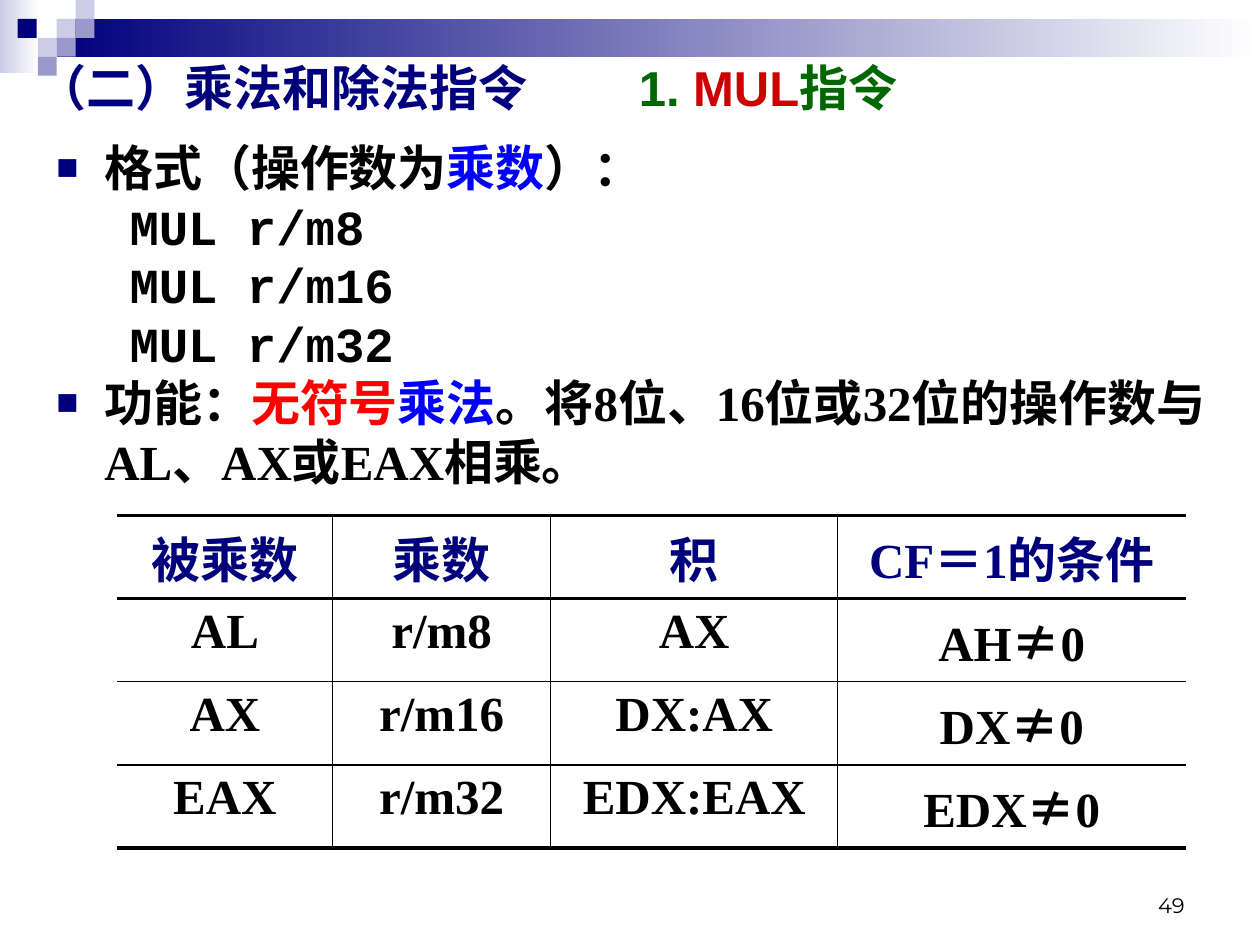
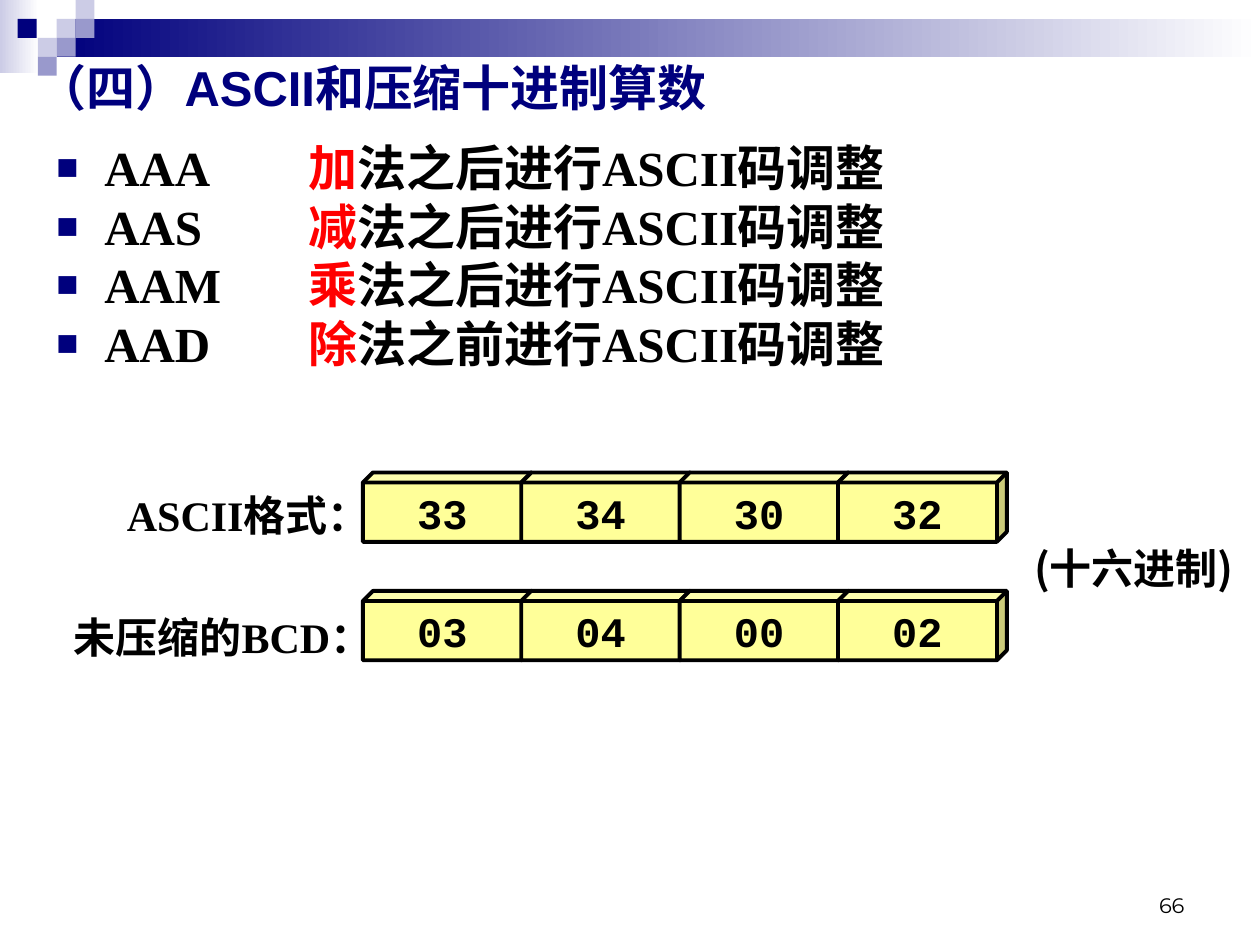
"""Build two slides on multiplication and ASCII adjustment instructions."""
from lxml import etree
from pptx import Presentation
from pptx.dml.color import RGBColor
from pptx.enum.shapes import MSO_SHAPE
from pptx.enum.text import MSO_ANCHOR, MSO_AUTO_SIZE, PP_ALIGN
from pptx.oxml.ns import qn
from pptx.util import Inches, Pt

RECTANGLE, CUBE = MSO_SHAPE.RECTANGLE, MSO_SHAPE.CUBE
MIDDLE, BOTTOM = MSO_ANCHOR.MIDDLE, MSO_ANCHOR.BOTTOM
LEFT, CENTER, RIGHT = PP_ALIGN.LEFT, PP_ALIGN.CENTER, PP_ALIGN.RIGHT
FIXED = MSO_AUTO_SIZE.NONE

BLACK = RGBColor(0x00, 0x00, 0x00)
WHITE = RGBColor(0xFF, 0xFF, 0xFF)
NAVY = RGBColor(0x00, 0x00, 0x7D)
LAVENDER = RGBColor(0xCC, 0xCC, 0xE6)
PERIWINKLE = RGBColor(0x99, 0x99, 0xCC)
BLUE = RGBColor(0x00, 0x00, 0xFF)
RED = RGBColor(0xFF, 0x00, 0x00)
DARK_RED = RGBColor(0xCC, 0x00, 0x00)
GREEN = RGBColor(0x00, 0x66, 0x00)
YELLOW = RGBColor(0xFF, 0xFF, 0x99)

SANS, SERIF, MONO = "Arial", "Times New Roman", "Courier New"
CHINESE, NUMBER_FACE = "Noto Sans CJK SC", "Montserrat"


def add_text(para, text, size=28, face=SERIF, color=BLACK, bold=True):
    span = para.add_run()
    span.text = text
    span.font.name = face
    span.font.size = Pt(size)
    span.font.bold = bold
    span.font.color.rgb = color
    etree.SubElement(span.font._element, qn("a:ea"), typeface=CHINESE)


def add_box(page, left, top, width, height):
    frame = page.shapes.add_textbox(
        Inches(left), Inches(top), Inches(width), Inches(height)).text_frame
    frame.word_wrap = True
    return frame


deck = Presentation()
deck.slide_width, deck.slide_height = Inches(10), Inches(7.5)

ORNAMENTS = [
    (0, 0, 0.31, 0.58, LAVENDER, True),
    (0.45, 0.15, 9.55, 0.3, NAVY, True),
    (0.45, 0.15, 0.15, 0.15, LAVENDER, False),
    (0.6, 0, 0.15, 0.15, LAVENDER, False),
    (0.6, 0.15, 0.15, 0.15, PERIWINKLE, False),
    (0.3, 0.3, 0.15, 0.15, LAVENDER, False),
    (0.14, 0.15, 0.15, 0.15, NAVY, False),
    (0.45, 0.3, 0.15, 0.15, PERIWINKLE, False),
    (0.3, 0.45, 0.15, 0.15, PERIWINKLE, False),
]
ADJUSTMENTS = [("AAA", "加", "后"), ("AAS", "减", "后"),
               ("AAM", "乘", "后"), ("AAD", "除", "前")]
SLIDES = [
    {
        "number": "49",
        "title": [("（二）乘法和除法指令\t", NAVY), ("1. ", GREEN),
                  ("MUL", DARK_RED), ("指令", GREEN)],
        "body": [
            (True, MONO, [("格式（操作数为", BLACK), ("乘数", BLUE), ("）：", BLACK)]),
            *[(False, MONO, [(f"MUL r/m{bits}", BLACK)]) for bits in (8, 16, 32)],
            (True, SERIF, [
                ("功能：", BLACK), ("无符号", RED), ("乘法", BLUE),
                ("。将8位、16位或32位的操作数与AL、AX或EAX相乘。", BLACK)]),
        ],
    },
    {
        "number": "66",
        "title": [("（四）ASCII和压缩十进制算数", NAVY)],
        "body": [
            (True, SERIF, [(f"{name}\t", BLACK), (operation, RED),
                           (f"法之{moment}进行ASCII码调整", BLACK)])
            for name, operation, moment in ADJUSTMENTS
        ],
    },
]

pages = []
for content in SLIDES:
    page = deck.slides.add_slide(deck.slide_layouts[5])
    pages.append(page)
    for left, top, width, height, color, fades in ORNAMENTS:
        ornament = page.shapes.add_shape(
            RECTANGLE, Inches(left), Inches(top), Inches(width), Inches(height))
        ornament.shadow.inherit = False
        ornament.line.fill.background()
        if fades:
            ornament.fill.gradient()
            ornament.fill.gradient_angle = 0
            for stop, shade, position in zip(
                    ornament.fill.gradient_stops, (color, WHITE), (0, 1)):
                stop.color.rgb = shade
                stop.position = position
        else:
            ornament.fill.solid()
            ornament.fill.fore_color.rgb = color

    frame = add_box(page, 7.17, 6.83, 2.33, 0.5)
    frame.vertical_anchor = BOTTOM
    para = frame.paragraphs[0]
    para.alignment = RIGHT
    add_text(para, content["number"], size=12, face=NUMBER_FACE, bold=False)

    frame = add_box(page, 0.35, 0.99, 9.37, 6.35)
    frame.margin_top = Inches(0.1)
    for index, (bulleted, face, spans) in enumerate(content["body"]):
        para = frame.add_paragraph() if index else frame.paragraphs[0]
        para.line_spacing = Pt(33.6)
        margin, hanging = (0.38, 0.38) if bulleted else (0.99, 0.41)
        format_node = para._p.get_or_add_pPr()
        format_node.set("marL", str(Inches(margin)))
        format_node.set("indent", str(-Inches(hanging)))
        if bulleted:
            bullet_color = etree.SubElement(format_node, qn("a:buClr"))
            etree.SubElement(bullet_color, qn("a:srgbClr"), val=str(NAVY))
            etree.SubElement(format_node, qn("a:buSzPct"), val="75000")
            etree.SubElement(format_node, qn("a:buFont"), typeface=SANS)
            etree.SubElement(format_node, qn("a:buChar"), char="■")
            tabs = etree.SubElement(format_node, qn("a:tabLst"))
            etree.SubElement(tabs, qn("a:tab"), pos=str(Inches(2)), algn="l")
        for text, color in spans:
            add_text(para, text, face=face, color=color)

    title = page.shapes.title
    title.left, title.top = Inches(0.2), Inches(0.36)
    title.width, title.height = Inches(9.61), Inches(0.63)
    frame = title.text_frame
    frame.auto_size = FIXED
    frame.vertical_anchor = BOTTOM
    frame.margin_bottom = Inches(0.07)
    para = frame.paragraphs[0]
    para.alignment = LEFT
    tabs = etree.SubElement(para._p.get_or_add_pPr(), qn("a:tabLst"))
    etree.SubElement(tabs, qn("a:tab"), pos=str(Inches(4.77)), algn="l")
    for text, color in content["title"]:
        add_text(para, text, face=SANS, color=color)

multiply_page, adjust_page = pages

ROWS = [
    ("被乘数", "乘数", "积", "CF＝1的条件"),
    ("AL", "r/m8", "AX", "AH≠0"),
    ("AX", "r/m16", "DX:AX", "DX≠0"),
    ("EAX", "r/m32", "EDX:EAX", "EDX≠0"),
]
COLUMN_WIDTHS = (1.71, 1.73, 2.28, 2.76)
ROW_RULES = (2.25, 2.25, 1, 1, 2.25)
COLUMN_RULES = (0, 1, 1, 0.75, 0)
table = multiply_page.shapes.add_table(
    len(ROWS), len(COLUMN_WIDTHS), Inches(0.93), Inches(4.09),
    Inches(8.48), Inches(2.65)).table
table.first_row = False
table.horz_banding = False
for column, width in zip(table.columns, COLUMN_WIDTHS):
    column.width = Inches(width)
for row_index, values in enumerate(ROWS):
    table.rows[row_index].height = Inches(0.66)
    for column_index, value in enumerate(values):
        cell = table.cell(row_index, column_index)
        borders = {
            "a:lnL": COLUMN_RULES[column_index],
            "a:lnR": COLUMN_RULES[column_index + 1],
            "a:lnT": ROW_RULES[row_index],
            "a:lnB": ROW_RULES[row_index + 1],
        }
        cell_format = cell._tc.get_or_add_tcPr()
        for tag, weight in borders.items():
            border = etree.SubElement(cell_format, qn(tag), w=str(Pt(weight)))
            if weight:
                paint = etree.SubElement(border, qn("a:solidFill"))
                etree.SubElement(paint, qn("a:srgbClr"), val=str(BLACK))
            else:
                etree.SubElement(border, qn("a:noFill"))
        cell.fill.background()
        para = cell.text_frame.paragraphs[0]
        para.alignment = CENTER
        color = BLACK if row_index else NAVY
        for part in value.partition("≠"):
            if part:
                add_text(para, part, color=color,
                         face=CHINESE if part == "≠" else SERIF)

BYTE_ROWS = [(3.75, ("33", "34", "30", "32")), (4.69, ("03", "04", "00", "02"))]
for top, values in BYTE_ROWS:
    for index, value in enumerate(values):
        cube = adjust_page.shapes.add_shape(
            CUBE, Inches(2.88 + 1.257 * index), Inches(top),
            Inches(1.34), Inches(0.55))
        cube.adjustments[0] = 0.145
        cube.shadow.inherit = False
        cube.fill.solid()
        cube.fill.fore_color.rgb = YELLOW
        cube.line.color.rgb = BLACK
        cube.line.width = Pt(2.25)
        frame = cube.text_frame
        frame.word_wrap = False
        frame.vertical_anchor = MIDDLE
        para = frame.paragraphs[0]
        para.alignment = CENTER
        add_text(para, value, size=24, face=MONO)

LABELS = [
    (0.83, 3.8, 2.28, CENTER, [("ASCII格式：", SERIF)]),
    (0.43, 4.77, 2.68, CENTER, [("未压缩的BCD：", SERIF)]),
    (7.84, 4.22, 2.05, RIGHT,
     [("(", CHINESE), ("十六进制", SERIF), (")", CHINESE)]),
]
for left, top, width, alignment, spans in LABELS:
    frame = add_box(adjust_page, left, top, width, 0.5)
    frame.margin_top = Inches(0.07)
    para = frame.paragraphs[0]
    para.alignment = alignment
    para.line_spacing = Pt(29.7)
    for text, face in spans:
        add_text(para, text, size=24, face=face)

deck.save("out.pptx")
